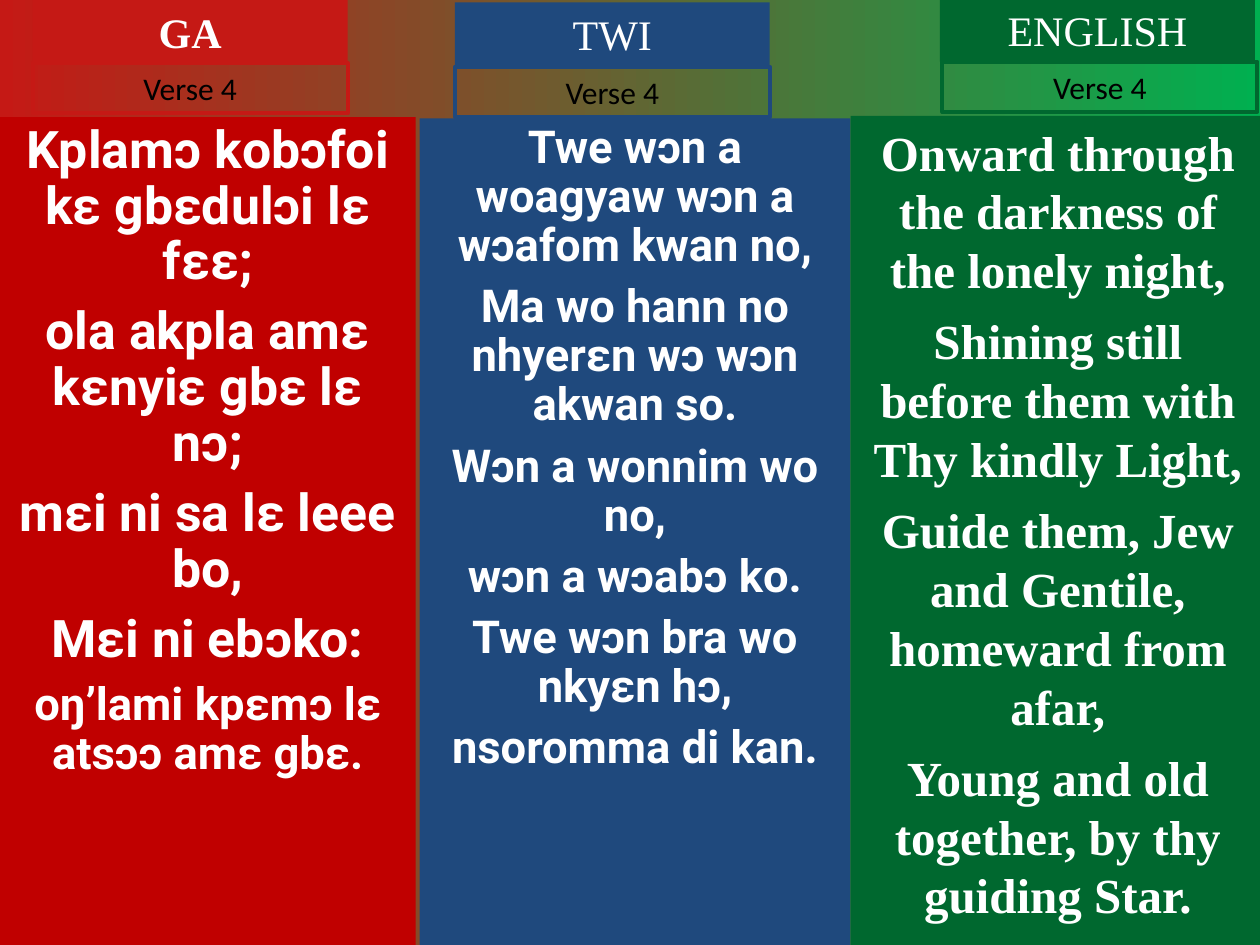
import pptx
import pptx.dml.color
import pptx.enum.text
import pptx.util

Inches = pptx.util.Inches
Pt = pptx.util.Pt

RED, BLUE, GREEN = "C00000", "1F497D", "00682F"
HEADING_RED = "C51915"
WHITE, BLACK = "FFFFFF", "000000"


def color(hex_code):
    return pptx.dml.color.RGBColor.from_string(hex_code)


class HymnSlide:
    heading_font = "Times New Roman"
    verse_font = "Calibri"
    label_width = 2.5

    def __init__(self, slide):
        self.slide = slide

    def background(self, left_color, right_color):
        fill = self.slide.background.fill
        fill.gradient()
        fill.gradient_angle = 0
        for stop, hex_code in zip(fill.gradient_stops, (left_color, right_color)):
            stop.color.rgb = color(hex_code)

    def box(self, left, top, width, height, fill=None, line=None, grow=False):
        box = self.slide.shapes.add_textbox(
            Inches(left), Inches(top), Inches(width), Inches(height))
        if fill:
            box.fill.solid()
            box.fill.fore_color.rgb = color(fill)
        if line:
            box.line.color.rgb = color(line)
            box.line.width = Pt(2.25)
        frame = box.text_frame
        frame.word_wrap = True
        if grow:
            frame.auto_size = pptx.enum.text.MSO_AUTO_SIZE.SHAPE_TO_FIT_TEXT
        return frame

    def add_text(self, paragraph, text, font, size, hex_code, bold=False):
        paragraph.alignment = pptx.enum.text.PP_ALIGN.CENTER
        run = paragraph.add_run()
        run.text = text
        run.font.name = font
        run.font.size = Pt(size)
        run.font.bold = bold
        run.font.color.rgb = color(hex_code)

    def lyrics(self, place, fill, font, lines, line_spacing=None):
        """Each line is (text, size, space before)."""
        frame = self.box(*place, fill=fill)
        for index, (text, size, gap) in enumerate(lines):
            paragraph = frame.add_paragraph() if index else frame.paragraphs[0]
            if index:
                paragraph.space_before = Pt(gap)
            if line_spacing:
                paragraph.line_spacing = line_spacing
            self.add_text(paragraph, text, font, size, WHITE, bold=True)

    def heading(self, left, top, language, fill, bold=False):
        frame = self.box(left, top, self.label_width, 0.5, fill=fill, grow=True)
        self.add_text(frame.paragraphs[0], language, self.heading_font, 24, WHITE, bold)

    def verse_label(self, left, top, text, outline):
        frame = self.box(left, top, self.label_width, 0.4, line=outline, grow=True)
        self.add_text(frame.paragraphs[0], text, self.verse_font, 18, BLACK)


def sized(size, gap, *texts):
    return [(text, size, gap) for text in texts]


GA_LINES = sized(
    29.6, 8,
    "Kplamɔ kobɔfoi kɛ gbɛdulɔi lɛ fɛɛ;",
    "ola akpla amɛ kɛnyiɛ gbɛ lɛ nɔ;",
    "mɛi ni sa lɛ leee bo,",
    "Mɛi ni ebɔko:",
) + sized(25.9, 7, "oŋ’lami kpɛmɔ lɛ atsɔɔ amɛ gbɛ.")

TWI_LINES = sized(
    25.9, 7,
    "Twe wɔn a woagyaw wɔn a wɔafom kwan no,",
    "Ma wo hann no nhyerɛn wɔ wɔn akwan so.",
    "Wɔn a wonnim wo no,",
    "wɔn a wɔabɔ ko.",
    "Twe wɔn bra wo nkyɛn hɔ,",
    "nsoromma di kan.",
)

ENGLISH_LINES = sized(
    28, 7,
    "Onward through the darkness of the lonely night,",
    "Shining still before them with Thy kindly Light,",
    "Guide them, Jew and Gentile, homeward from afar,",
    "Young and old together, by thy guiding Star.",
)


def main():
    deck = pptx.Presentation()
    deck.slide_width, deck.slide_height = Inches(10), Inches(7.5)
    hymn = HymnSlide(deck.slides.add_slide(deck.slide_layouts[6]))
    hymn.background(HEADING_RED, "00B050")

    # Lyrics, one column per language
    hymn.lyrics((0, 0.93, 3.3, 6.57), RED, "Roboto", GA_LINES, 0.9)
    hymn.lyrics((3.33, 0.94, 3.42, 6.56), BLUE, "Roboto", TWI_LINES, 0.9)
    hymn.lyrics((6.75, 0.92, 3.29, 6.58), GREEN, "Times New Roman", ENGLISH_LINES)

    # Language headings
    hymn.heading(0.26, 0, "GA", HEADING_RED, bold=True)
    hymn.heading(3.61, 0.02, "TWI", BLUE)
    hymn.heading(7.46, -0.01, "ENGLISH", GREEN)

    # Verse labels
    for left, top, outline in ((0.26, 0.5, HEADING_RED),
                               (3.61, 0.53, BLUE),
                               (7.48, 0.49, GREEN)):
        hymn.verse_label(left, top, "Verse 4", outline)

    deck.save("out.pptx")


if __name__ == "__main__":
    main()
